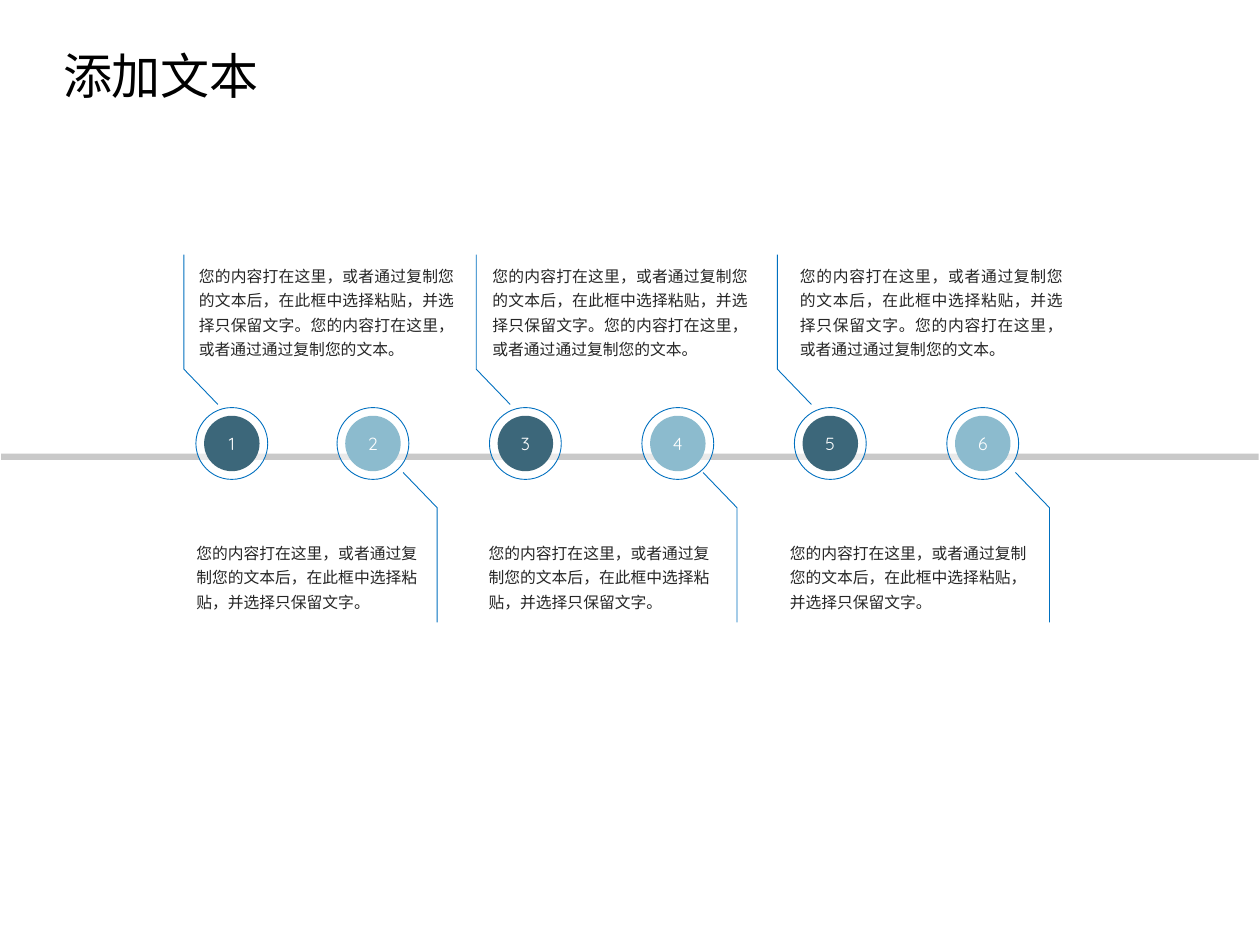
from lxml.etree import SubElement
from pptx import Presentation
from pptx.dml.color import RGBColor
from pptx.enum.shapes import MSO_SHAPE
from pptx.enum.text import MSO_ANCHOR, PP_ALIGN
from pptx.oxml.ns import qn
from pptx.util import Inches, Pt

HEX = {"ink": "000000", "body": "262626", "white": "FFFFFF", "line": "0070C0",
       "bar": "A6A6A6", "dark": "3C677A", "light": "8CBBCE"}
HAN, LATIN = "Noto Sans CJK SC", "Quicksand"
TITLE = "添加文本"
SHORT = "您的内容打在这里，或者通过复制您的文本后，在此框中选择粘贴，并选择只保留文字。"
LONG = SHORT + "您的内容打在这里，或者通过通过复制您的文本。"
TOP = [(1.48, 2.22, 1.46), (3.81, 2.22, 3.78), (6.25, 2.28, 6.17)]
LOW = [(1.46, 2.02, 3.47), (3.78, 1.99, 5.85), (6.17, 2.11, 8.33)]
RING, DOT, MID = 0.57, 0.44, 3.52
STEPS = [1.84] + [2.96 + 1.21 * i for i in range(5)]


def rgb(name):
    """Look up a colour."""
    return RGBColor.from_string(HEX[name])


def write(shape, text, size, color, font, align, space=None):
    """Put one styled paragraph in a shape."""
    para = shape.text_frame.paragraphs[0]
    para.text = text
    para.alignment = align
    if space:
        para.line_spacing = space
    run = para.runs[0]
    run.font.size = Pt(size)
    run.font.name = font
    run.font.color.rgb = rgb(color)
    SubElement(run.font._element, qn("a:ea"), typeface=font)


def solid(kind, box, color, alpha=None, edge=False):
    """Draw a filled preset shape."""
    shape = slide.shapes.add_shape(kind, *map(Inches, box))
    shape.shadow.inherit = False
    shape.fill.solid()
    shape.fill.fore_color.rgb = rgb(color)
    if alpha:
        tint = shape.fill._xPr.find(".//" + qn("a:srgbClr"))
        SubElement(tint, qn("a:alpha"), val=str(alpha * 1000))
    stroke(shape, edge)
    return shape


def stroke(shape, edge):
    """Give a shape the thin callout line or none."""
    if edge:
        shape.line.color.rgb = rgb("line")
        shape.line.width = Pt(0.5)
    else:
        shape.line.fill.background()


def disc(x, size, color, **look):
    """Draw a circle centred on the timeline."""
    box = (x - size / 2, MID - size / 2, size, size)
    return solid(MSO_SHAPE.OVAL, box, color, **look)


def callout(points):
    """Draw an open bent line."""
    first, *rest = [(Inches(x), Inches(y)) for x, y in points]
    pen = slide.shapes.build_freeform(*first)
    pen.add_line_segments(rest, close=False)
    shape = pen.convert_to_shape()
    shape.shadow.inherit = False
    shape.fill.background()
    stroke(shape, True)


def note(x, y, wide, high, text, align):
    """Add a wrapped body text box."""
    box = slide.shapes.add_textbox(*map(Inches, (x, y, wide, high)))
    box.text_frame.word_wrap = True
    write(box, text, 9, "body", HAN, align, 1.3)


deck = Presentation()
deck.slide_width, deck.slide_height = Inches(10), Inches(7.5)
slide = deck.slides.add_slide(deck.slide_layouts[5])

title = slide.shapes.title
title.left, title.top, title.width, title.height = map(
    Inches, (0.4, 0.31, 1.75, 0.57))
title.text_frame.word_wrap = False
title.text_frame.margin_right = 0
title.text_frame.vertical_anchor = MSO_ANCHOR.TOP
write(title, TITLE, 28, "ink", HAN, PP_ALIGN.LEFT)

solid(MSO_SHAPE.RECTANGLE, (0.01, 3.6, 9.98, 0.05), "bar", alpha=60)

for i, x in enumerate(STEPS):
    disc(x, RING, "white", alpha=60, edge=True)
    dot = disc(x, DOT, "light" if i % 2 else "dark")
    dot.text_frame.vertical_anchor = MSO_ANCHOR.MIDDLE
    write(dot, str(i + 1), 10, "white", LATIN, PP_ALIGN.CENTER)

for x, wide, pole in TOP:
    callout([(pole, 2.02), (pole, 2.93), (pole + 0.27, 3.21)])
    note(x, 2.02, wide, 0.88, LONG, PP_ALIGN.JUSTIFY)

for x, wide, pole in LOW:
    callout([(pole, 4.94), (pole, 4.03), (pole - 0.27, 3.75)])
    note(x, 4.22, wide, 0.69, SHORT, PP_ALIGN.LEFT)

deck.save("out.pptx")
